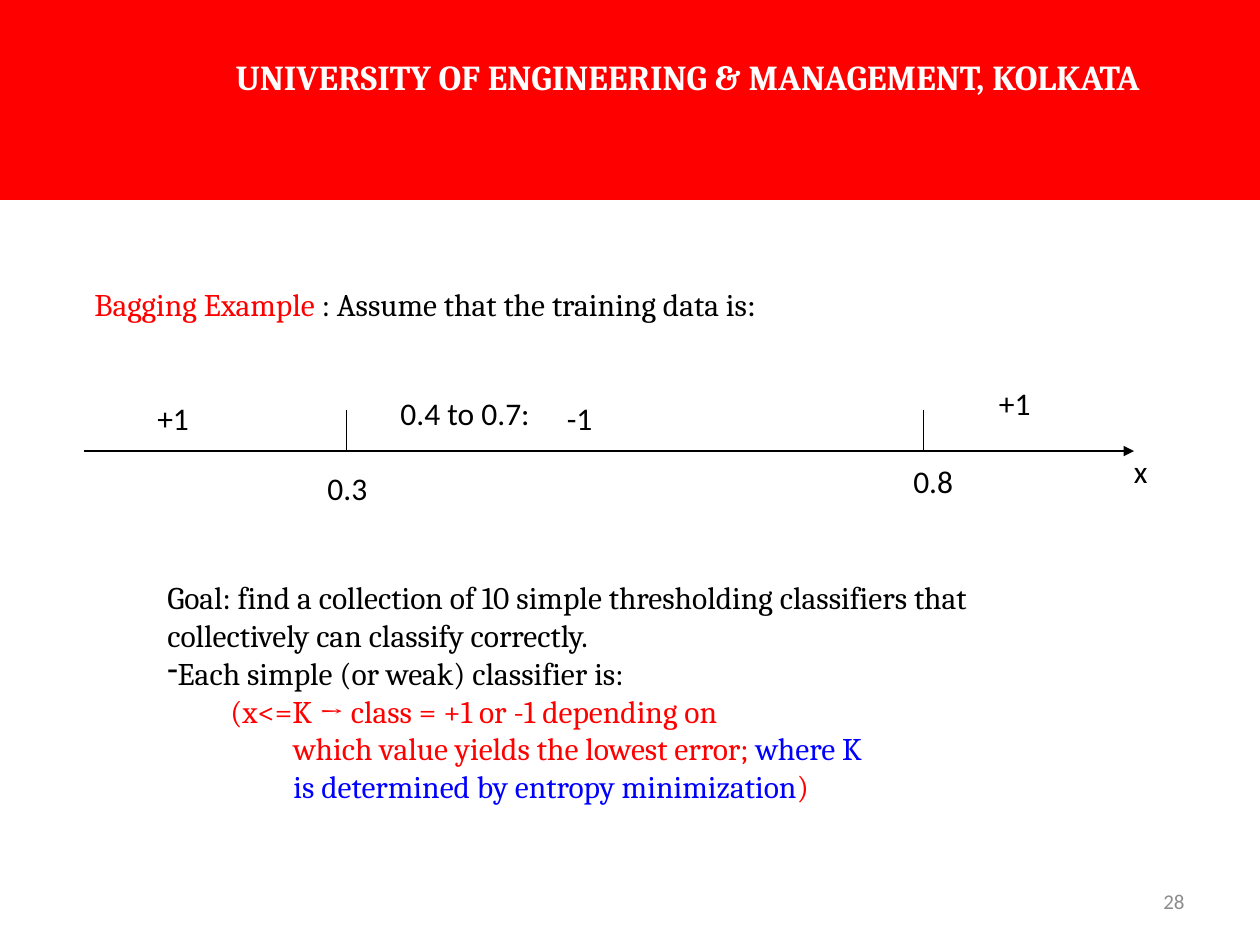
from lxml.etree import SubElement
from pptx import Presentation
from pptx.dml.color import RGBColor
from pptx.enum.shapes import MSO_CONNECTOR as Connector
from pptx.enum.text import MSO_ANCHOR as Anchor, MSO_AUTO_SIZE as AutoSize, PP_ALIGN as Align
from pptx.oxml.ns import qn
from pptx.util import Inches, Pt

RED = RGBColor(0xFF, 0x00, 0x00)
BLUE = RGBColor(0x00, 0x00, 0xFF)
BLACK = RGBColor(0x00, 0x00, 0x00)
WHITE = RGBColor(0xFF, 0xFF, 0xFF)
GRAY = RGBColor(0x8C, 0x8C, 0x8C)
NO_GRID_STYLE = "{2D5ABB26-0587-4C30-8999-92F81FD0307C}"
AXIS_Y = 3.58


def add_spans(para, spans, font="Cambria", size=18, bold=False):
    """Write (text, color) or (text, color, font) spans, breaking lines at newlines."""
    for text, color, *other_font in spans:
        for index, line in enumerate(text.split("\n")):
            if index:
                para.add_line_break()
            span = para.add_run()
            span.text = line
            span.font.name = other_font[0] if other_font else font
            span.font.size = Pt(size)
            span.font.bold = bold
            span.font.color.rgb = color


def add_box(slide, left, top, width, height=0.4):
    """Add an unwrapped text box and return its text frame."""
    box = slide.shapes.add_textbox(Inches(left), Inches(top), Inches(width), Inches(height))
    frame = box.text_frame
    frame.word_wrap = False
    frame.auto_size = AutoSize.SHAPE_TO_FIT_TEXT
    return frame


def add_label(slide, text, left, top, width):
    """Add a short label of the number line."""
    add_spans(add_box(slide, left, top, width).paragraphs[0], [(text, BLACK)], "Calibri")


def add_line(slide, start, end, arrow=False):
    """Add a thin black line, with an arrowhead at its end on request."""
    line = slide.shapes.add_connector(Connector.STRAIGHT, *map(Inches, start + end))
    line.line.color.rgb = BLACK
    line.line.width = Pt(0.75)
    if arrow:
        SubElement(line.line._get_or_add_ln(), qn("a:tailEnd"), type="triangle")
    SubElement(line._element.spPr, qn("a:effectLst"))


def add_page_number(slide, number):
    """Add the page number at the lower right."""
    frame = add_box(slide, 7.17, 6.95, 2.33)
    frame.word_wrap = True
    frame.auto_size = AutoSize.NONE
    frame.vertical_anchor = Anchor.MIDDLE
    frame.paragraphs[0].alignment = Align.RIGHT
    add_spans(frame.paragraphs[0], [(number, GRAY)], "Calibri", 12)


def add_number_line(slide):
    """Draw the axis with its thresholds and class labels."""
    add_line(slide, (0.67, AXIS_Y), (9, AXIS_Y), arrow=True)
    for tick in (2.75, 7.33):
        add_line(slide, (tick, 3.25), (tick, AXIS_Y))
    for label in (
        ("0.3", 2.5, 3.67, 0.55),
        ("0.8", 7.15, 3.62, 0.55),
        ("x", 8.9, 3.54, 0.33),
        ("+1", 1.15, 3.12, 0.49),
        ("+1", 7.83, 3, 0.49),
        ("-1", 4.4, 3.12, 0.42),
        ("0.4 to 0.7:", 3.08, 3.08, 1.31),
    ):
        add_label(slide, *label)


def add_goal(slide):
    """Add the goal and the definition of a weak classifier."""
    frame = add_box(slide, 1.23, 4.54, 7.16, 1.9)
    goal = frame.paragraphs[0]
    add_spans(goal, [("Goal: find a collection of 10 simple thresholding classifiers that \n"
                      "collectively can classify correctly.", BLACK)])
    bullet = frame.add_paragraph()
    SubElement(bullet._p.get_or_add_pPr(), qn("a:buChar"), char="-")
    add_spans(bullet, [("Each simple (or weak) classifier is:", BLACK)])
    for spans in (
        [("(x<=K → class = +1 or -1 depending on", RED)],
        [("\twhich value yields the lowest error; ", RED),
         ("where K\n\tis determined by entropy minimization", BLUE),
         (")", RED)],
    ):
        para = frame.add_paragraph()
        para.level = 1
        properties = para._p.get_or_add_pPr()
        properties.set("marL", str(Inches(0.5)))
        properties.set("indent", "0")
        add_spans(para, spans)


def add_banner(slide):
    """Add the red header table with the university name."""
    frame = slide.shapes.add_table(3, 3, 0, 0, Inches(10), Inches(1.59))
    table = frame.table
    table._tbl.tblPr.find(qn("a:tableStyleId")).text = NO_GRID_STYLE
    table.first_row = table.horz_banding = False
    for column, width in zip(table.columns, (1.17, 8.58, 0.25)):
        column.width = Inches(width)
    for row, height in zip(table.rows, (0.42, 0.57, 0.6)):
        row.height = Inches(height)
    for cell in table.iter_cells():
        cell.fill.solid()
        cell.fill.fore_color.rgb = RED
    for first, last in (((0, 0), (0, 1)), ((1, 0), (2, 0)), ((2, 1), (2, 2))):
        table.cell(*first).merge(table.cell(*last))
    title = table.cell(1, 1).text_frame.paragraphs[0]
    title.alignment = Align.CENTER
    add_spans(title, [("UNIVERSITY OF ENGINEERING & MANAGEMENT, KOLKATA", WHITE)], size=20, bold=True)


def main():
    """Build and save the deck."""
    deck = Presentation()
    deck.slide_width, deck.slide_height = Inches(10), Inches(7.5)
    page = deck.slides.add_slide(deck.slide_layouts[6])
    add_page_number(page, "28")
    add_number_line(page)
    heading = add_box(page, 0.65, 2.21, 5.71).paragraphs[0]
    add_spans(heading, [("Bagging Example ", RED), (": Assume that the training data is", BLACK),
                        (":", BLACK, "Calibri")])
    add_goal(page)
    add_banner(page)
    deck.save("out.pptx")


if __name__ == "__main__":
    main()
